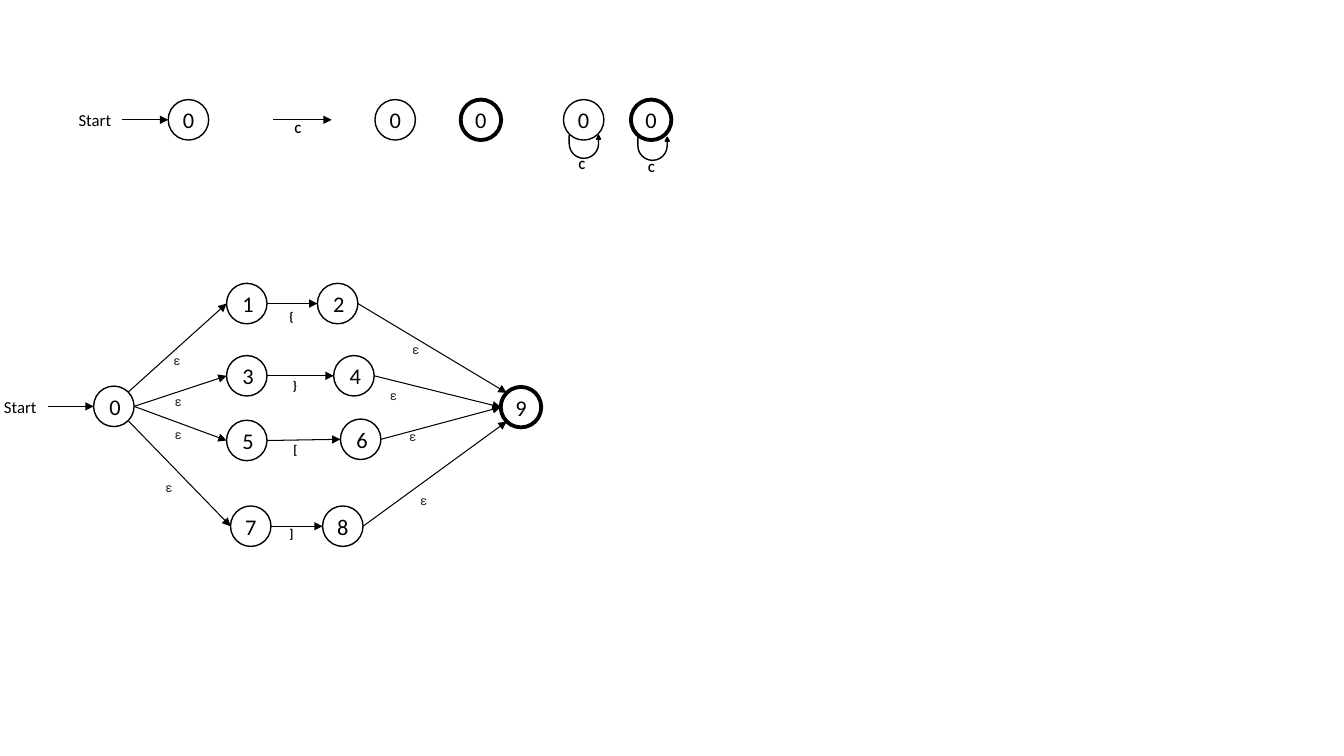
"""Build a slide with an automaton legend and a bracket-matching automaton."""
from lxml.etree import SubElement
from pptx import Presentation
from pptx.dml.color import RGBColor
from pptx.enum.shapes import MSO_CONNECTOR as Connector, MSO_SHAPE as Shape
from pptx.enum.text import MSO_ANCHOR as Anchor, MSO_AUTO_SIZE as AutoSize, PP_ALIGN as Align
from pptx.oxml.ns import qn
from pptx.util import Cm, Pt

COLORS = {"ink": "000000", "epsilon": "202124"}
FORMATS = {
    "state": {"name": "Calibri", "size": Pt(16), "bold": False},
    "start": {"name": "Calibri", "size": Pt(12), "bold": False},
    "symbol": {"name": "Calibri", "size": Pt(9), "bold": True},
    "epsilon": {"name": "Roboto", "size": Pt(9), "bold": False},
}
THIN, ACCEPTING = 1, 2.75
RADIUS, DIAGONAL = 0.51, 0.36
SIDES = {
    "right": (RADIUS, 0), "left": (-RADIUS, 0),
    "top right": (DIAGONAL, -DIAGONAL), "bottom right": (DIAGONAL, DIAGONAL),
    "top left": (-DIAGONAL, -DIAGONAL), "bottom left": (-DIAGONAL, DIAGONAL),
}
START_ARROW, START_SIZE = 1.16, (1.35, 0.76)
SYMBOL_SIZE, LOOP_SIZE = (0.41, 0.64), (0.79, 0.58)
LOOP_ADJUSTMENTS = (0, 0.085, 0.164, 0.717, 1)

# name: (text, centre x, centre y, outline, has default insets)
STATES = {
    "legend start": ("0", 4.75, 3.02, THIN, False),
    "legend plain": ("0", 9.96, 3.02, THIN, False),
    "legend accepting": ("0", 12.12, 3.02, ACCEPTING, False),
    "legend loop": ("0", 14.71, 3.02, THIN, False),
    "legend accepting loop": ("0", 16.41, 3.02, ACCEPTING, False),
    "0": ("0", 2.87, 10.24, THIN, True),
    "1": ("1", 6.22, 7.65, THIN, True),
    "2": ("2", 8.51, 7.65, THIN, True),
    "3": ("3", 6.22, 9.47, THIN, True),
    "4": ("4", 8.92, 9.47, THIN, True),
    "5": ("5", 6.22, 11.1, THIN, True),
    "6": ("6", 9.09, 11.07, THIN, True),
    "7": ("7", 6.32, 13.26, THIN, False),
    "8": ("8", 8.64, 13.26, THIN, False),
    "9": ("9", 13.13, 10.26, ACCEPTING, False),
}
START_STATES = ["legend start", "0"]
TRANSITIONS = [
    ("0", "top right", "1", "left", "ε", 4.42, 8.76),
    ("0", "right", "3", "left", "ε", 4.45, 9.8),
    ("0", "right", "5", "left", "ε", 4.45, 10.64),
    ("0", "bottom right", "7", "left", "ε", 4.22, 11.96),
    ("1", "right", "2", "left", "{", 7.34, 7.65),
    ("3", "right", "4", "left", "}", 7.42, 9.4),
    ("5", "right", "6", "left", "[", 7.44, 11.02),
    ("7", "right", "8", "left", "]", 7.34, 13.13),
    ("2", "right", "9", "top left", "ε", 10.44, 8.48),
    ("4", "right", "9", "left", "ε", 9.88, 9.65),
    ("6", "right", "9", "left", "ε", 10.36, 10.69),
    ("8", "right", "9", "bottom left", "ε", 10.64, 12.29),
]
LEGEND_ARROW = ((6.88, 3.02), (8.36, 3.02))
LEGEND_SYMBOLS = [("C", 7.47, 2.92), ("C", 14.63, 3.84), ("C", 16.38, 3.91)]
LOOP_CENTRES = [(14.74, 3.7), (16.47, 3.75)]


def color(name):
    return RGBColor.from_string(COLORS[name])


def write(shape, text, style, alignment=Align.LEFT):
    paragraph = shape.text_frame.paragraphs[0]
    paragraph.text = text
    paragraph.alignment = alignment
    font = paragraph.runs[0].font
    for attribute, value in FORMATS[style].items():
        setattr(font, attribute, value)
    font.color.rgb = color("epsilon" if style == "epsilon" else "ink")


def add_outlined(slide, kind, centre_x, centre_y, width, height, outline):
    shape = slide.shapes.add_shape(
        kind, Cm(centre_x - width / 2), Cm(centre_y - height / 2), Cm(width), Cm(height))
    shape.shadow.inherit = False
    shape.line.color.rgb = color("ink")
    shape.line.width = Pt(outline)
    return shape


def add_state(slide, text, centre_x, centre_y, outline, has_insets):
    shape = add_outlined(
        slide, Shape.OVAL, centre_x, centre_y, 2 * RADIUS, 2 * RADIUS, outline)
    shape.fill.background()
    frame = shape.text_frame
    frame.vertical_anchor = Anchor.MIDDLE
    if not has_insets:
        for side in ("left", "top", "right", "bottom"):
            setattr(frame, f"margin_{side}", 0)
    write(shape, text, "state", Align.CENTER)


def add_loop(slide, centre_x, centre_y):
    shape = add_outlined(slide, Shape.U_TURN_ARROW, centre_x, centre_y, *LOOP_SIZE, THIN)
    shape.fill.solid()
    shape.fill.fore_color.rgb = color("ink")
    for index, value in enumerate(LOOP_ADJUSTMENTS):
        shape.adjustments[index] = value
    shape.rotation = 180
    shape._element.spPr.find(qn("a:xfrm")).set("flipH", "1")


def add_label(slide, text, centre_x, top, size, style):
    width, height = size
    box = slide.shapes.add_textbox(Cm(centre_x - width / 2), Cm(top), Cm(width), Cm(height))
    box.text_frame.word_wrap = False
    box.text_frame.auto_size = AutoSize.SHAPE_TO_FIT_TEXT
    write(box, text, style)


def add_symbol(slide, text, centre_x, top):
    style = "epsilon" if text == "ε" else "symbol"
    add_label(slide, text, centre_x, top, SYMBOL_SIZE, style)


def add_arrow(slide, begin, end):
    arrow = slide.shapes.add_connector(
        Connector.STRAIGHT, *[Cm(length) for length in (*begin, *end)])
    arrow.line.color.rgb = color("ink")
    arrow.line.width = Pt(0.75)
    SubElement(arrow.line._get_or_add_ln(), qn("a:tailEnd"), type="triangle")
    SubElement(arrow._element.spPr, qn("a:effectLst"))


def state_point(name, side):
    centre_x, centre_y = STATES[name][1:3]
    offset_x, offset_y = SIDES[side]
    return centre_x + offset_x, centre_y + offset_y


def main():
    presentation = Presentation()
    presentation.slide_width, presentation.slide_height = Cm(33.87), Cm(19.05)
    slide = presentation.slides.add_slide(presentation.slide_layouts[6])

    for state in STATES.values():
        add_state(slide, *state)
    for name in START_STATES:
        end_x, middle = state_point(name, "left")
        begin_x = end_x - START_ARROW
        width, height = START_SIZE
        add_arrow(slide, (begin_x, middle), (end_x, middle))
        add_label(slide, "Start", begin_x - width / 2, middle - height / 2, START_SIZE, "start")
    for source, source_side, target, target_side, *symbol in TRANSITIONS:
        add_arrow(slide, state_point(source, source_side), state_point(target, target_side))
        add_symbol(slide, *symbol)

    add_arrow(slide, *LEGEND_ARROW)
    for centre in LOOP_CENTRES:
        add_loop(slide, *centre)
    for symbol in LEGEND_SYMBOLS:
        add_symbol(slide, *symbol)
    presentation.save("out.pptx")


if __name__ == "__main__":
    main()
